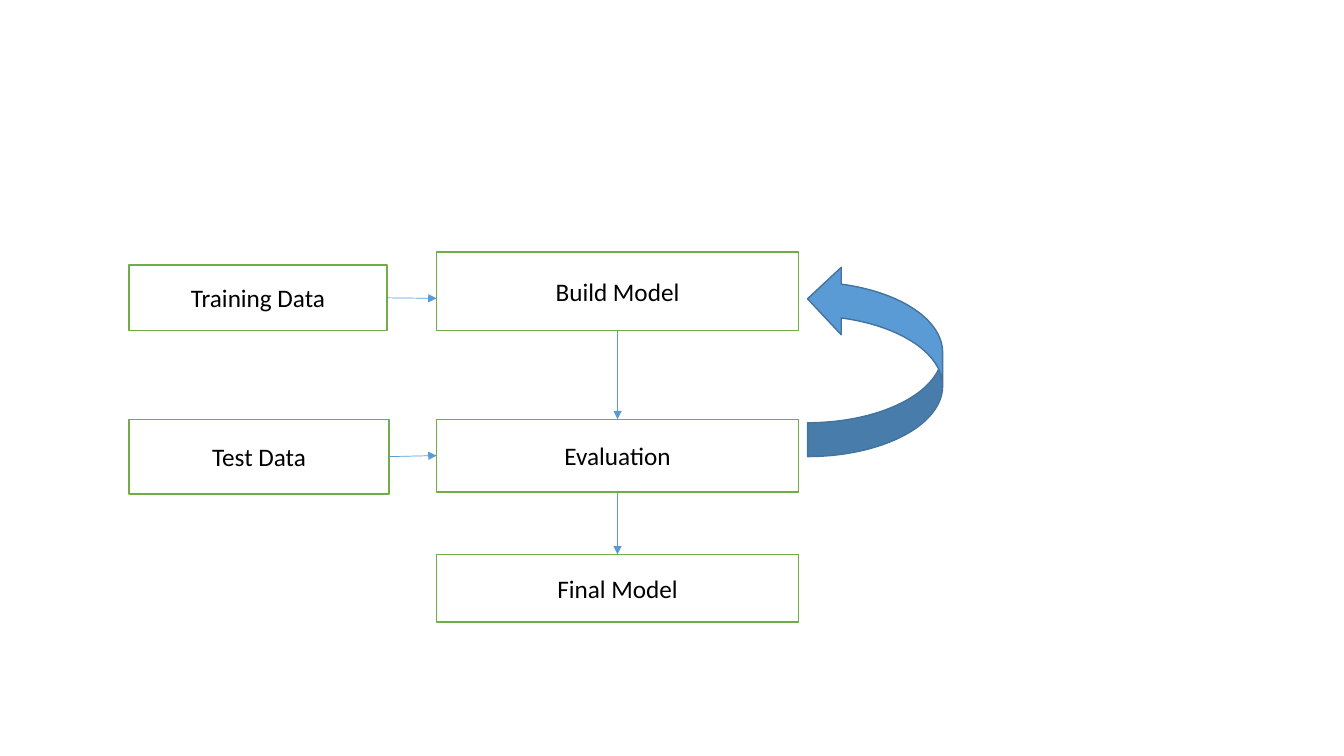
"""Build a slide showing the model training and evaluation loop."""
from lxml.etree import SubElement
from pptx import Presentation
from pptx.dml.color import RGBColor
from pptx.enum.shapes import MSO_CONNECTOR, MSO_SHAPE
from pptx.enum.text import MSO_ANCHOR, PP_ALIGN
from pptx.oxml.ns import qn
from pptx.util import Inches, Pt

COLORS = {"box": "FFFFFF", "border": "70AD47", "text": "000000",
          "arrow": "5B9BD5", "loop_edge": "43739E"}
STEPS = {
    "Build Model": (4.33, 2.5, 3.59, 0.78),
    "Evaluation": (4.33, 4.16, 3.59, 0.72),
    "Final Model": (4.33, 5.5, 3.59, 0.67),
    "Training Data": (1.28, 2.63, 2.56, 0.65),
    "Test Data": (1.28, 4.16, 2.58, 0.74),
}
TOP, LEFT, BOTTOM, RIGHT = range(4)
FLOWS = [
    ("Build Model", BOTTOM, "Evaluation", TOP),
    ("Evaluation", BOTTOM, "Final Model", TOP),
    ("Test Data", RIGHT, "Evaluation", LEFT),
]
TRAINING_FLOW = (3.84, 2.96, 4.33, 2.96)
FEEDBACK_LOOP = (8.01, 2.63, 1.34, 1.9)
FONT = {"name": "Calibri", "size": Pt(18)}


def color(name):
    return RGBColor.from_string(COLORS[name])


def add_block(slide, preset, place, fill, edge):
    block = slide.shapes.add_shape(preset, *map(Inches, place))
    block.shadow.inherit = False
    block.fill.solid()
    block.fill.fore_color.rgb = color(fill)
    block.line.color.rgb = color(edge)
    block.line.width = Pt(1)
    return block


def add_step(slide, label, place):
    step = add_block(slide, MSO_SHAPE.RECTANGLE, place, "box", "border")
    step.text_frame.vertical_anchor = MSO_ANCHOR.MIDDLE
    step.text_frame.word_wrap = True
    paragraph = step.text_frame.paragraphs[0]
    paragraph.alignment = PP_ALIGN.CENTER
    run = paragraph.add_run()
    run.text = label
    for attribute, value in FONT.items():
        setattr(run.font, attribute, value)
    run.font.color.rgb = color("text")
    return step


def add_flow(slide, ends=(0, 0, 0, 0)):
    flow = slide.shapes.add_connector(MSO_CONNECTOR.STRAIGHT, *map(Inches, ends))
    flow.line.color.rgb = color("arrow")
    flow.line.width = Pt(0.5)
    SubElement(flow.line._get_or_add_ln(), qn("a:tailEnd"), type="triangle")
    SubElement(flow._element.spPr, qn("a:effectLst"))
    return flow


def main():
    deck = Presentation()
    deck.slide_width, deck.slide_height = Inches(13.33), Inches(7.5)
    slide = deck.slides.add_slide(deck.slide_layouts[6])

    steps = {label: add_step(slide, label, place) for label, place in STEPS.items()}

    loop = add_block(slide, MSO_SHAPE.CURVED_RIGHT_ARROW, FEEDBACK_LOOP,
                     "arrow", "loop_edge")
    for flip in ("flipH", "flipV"):
        loop._element.spPr.xfrm.set(flip, "1")

    for source, source_side, target, target_side in FLOWS:
        flow = add_flow(slide)
        flow.begin_connect(steps[source], source_side)
        flow.end_connect(steps[target], target_side)
    add_flow(slide, TRAINING_FLOW).begin_connect(steps["Training Data"], RIGHT)

    deck.save("out.pptx")


if __name__ == "__main__":
    main()
